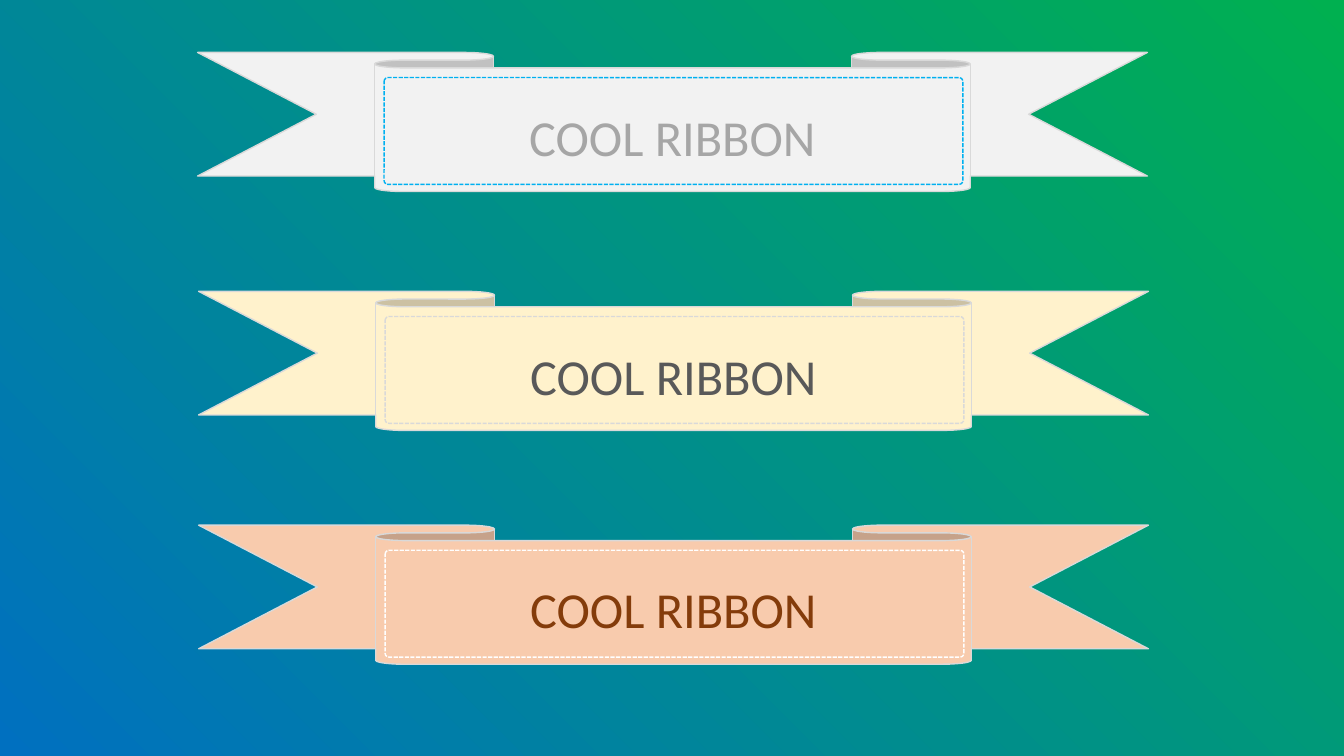
"""Build a slide with three folded ribbons on a diagonal gradient."""
from dataclasses import dataclass
from typing import Optional

import pptx
import pptx.dml.color
import pptx.enum.dml
import pptx.enum.shapes
import pptx.enum.text
import pptx.util

Inches = pptx.util.Inches
SHAPE = pptx.enum.shapes.MSO_SHAPE

COLORS = {
    "blue": "0070C0",
    "green": "00B050",
    "edge": "D9D9D9",
    "pale_gray": "F2F2F2",
    "sky": "00B0F0",
    "gray": "A6A6A6",
    "cream": "FFF2CC",
    "dark_gray": "595959",
    "peach": "F8CBAD",
    "white": "FFFFFF",
    "brown": "843C0B",
}


@dataclass
class Ribbon:
    left: float
    top: float
    fill: str
    stitch: str
    text: str
    panel: Optional[str] = None


RIBBONS = [
    Ribbon(1.96, 0.52, "pale_gray", "sky", "gray"),
    Ribbon(1.97, 2.89, "cream", "edge", "dark_gray", "cream"),
    Ribbon(1.97, 5.21, "peach", "white", "brown"),
]


def rgb(name: str) -> pptx.dml.color.RGBColor:
    return pptx.dml.color.RGBColor.from_string(COLORS[name])


def add_outlined(slide, kind, left: float, top: float, width: float, height: float,
                 adjustments: list[float], fill: Optional[str], line: str):
    sp = slide.shapes.add_shape(kind, Inches(left), Inches(top), Inches(width), Inches(height))
    sp.shadow.inherit = False
    for i, value in enumerate(adjustments):
        sp.adjustments[i] = value
    if fill:
        sp.fill.solid()
        sp.fill.fore_color.rgb = rgb(fill)
    else:
        sp.fill.background()
    sp.line.color.rgb = rgb(line)
    sp.line.width = pptx.util.Pt(1)
    return sp


def add_title(slide, left: float, top: float, text: str, color: str) -> None:
    box = slide.shapes.add_textbox(Inches(left), Inches(top), Inches(5.2), Inches(0.71))
    tf = box.text_frame
    tf.word_wrap = True
    tf.auto_size = pptx.enum.text.MSO_AUTO_SIZE.SHAPE_TO_FIT_TEXT
    p = tf.paragraphs[0]
    p.alignment = pptx.enum.text.PP_ALIGN.CENTER
    r = p.add_run()
    r.text = text
    r.font.name = "Calibri"
    r.font.size = pptx.util.Pt(36)
    r.font.color.rgb = rgb(color)


def add_ribbon(slide, ribbon: Ribbon) -> None:
    add_outlined(slide, SHAPE.DOWN_RIBBON, ribbon.left, ribbon.top, 9.42, 1.38,
                 [0.111, 0.627], ribbon.fill, "edge")
    stitch = add_outlined(slide, SHAPE.ROUNDED_RECTANGLE, ribbon.left + 1.85, ribbon.top + 0.25,
                          5.74, 1.06, [0.036], ribbon.panel, ribbon.stitch)
    stitch.line.dash_style = pptx.enum.dml.MSO_LINE.SQUARE_DOT
    add_title(slide, ribbon.left + 2.11, ribbon.top + 0.48, "COOL RIBBON", ribbon.text)


def set_background(slide) -> None:
    fill = slide.background.fill
    fill.gradient()
    fill.gradient_angle = 45
    for stop, name in zip(fill.gradient_stops, ("blue", "green")):
        stop.color.rgb = rgb(name)


def main() -> None:
    prs = pptx.Presentation()
    prs.slide_width, prs.slide_height = Inches(13.33), Inches(7.5)
    slide = prs.slides.add_slide(prs.slide_layouts[6])
    set_background(slide)
    for ribbon in RIBBONS:
        add_ribbon(slide, ribbon)
    prs.save("out.pptx")


if __name__ == "__main__":
    main()
